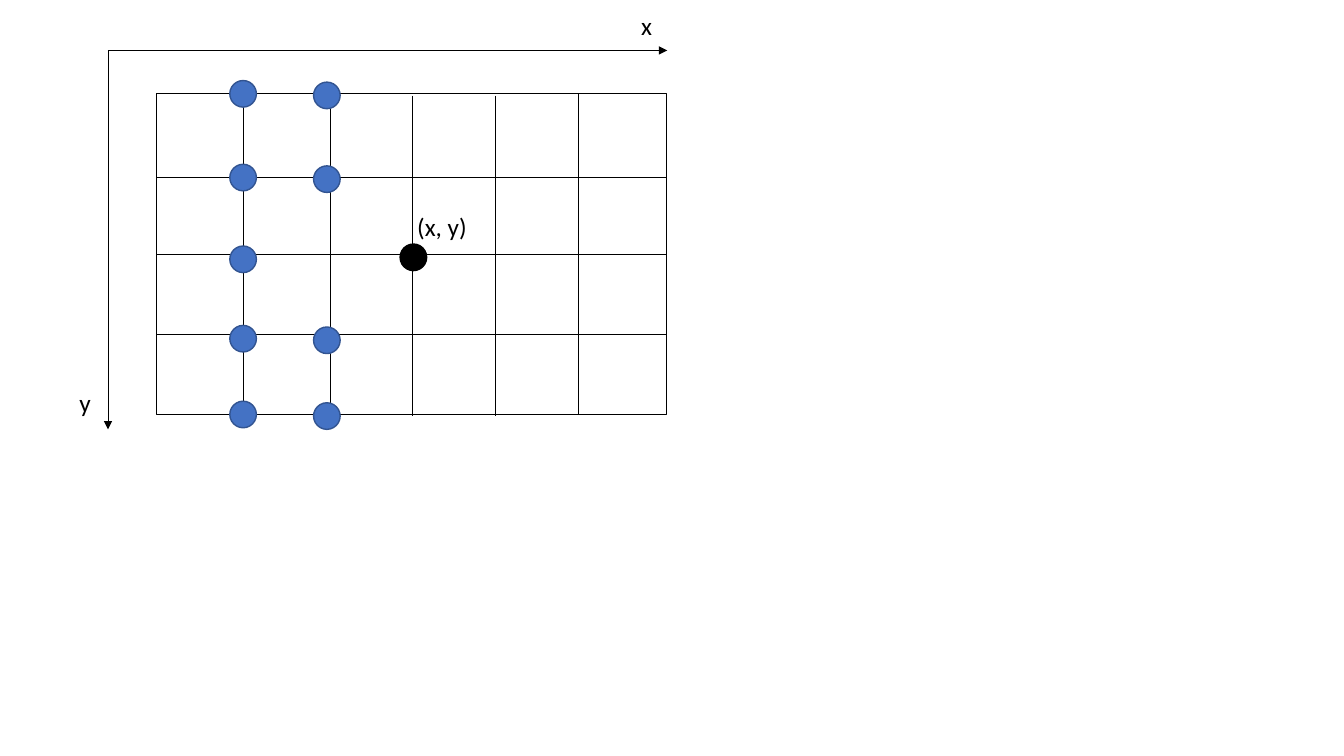
"""Build a slide with a pixel grid, its axes and the sampled points."""
from lxml import etree
from pptx import Presentation
from pptx.dml.color import RGBColor
from pptx.enum import shapes, text
from pptx.oxml import ns
from pptx.util import Cm, Inches, Pt

HUES = {"black": "000000", "white": "FFFFFF", "blue": "4472C4", "navy": "325491"}
DOT = 0.67
LEFT, TOP, WIDTH, HIGH = 3.94, 2.36, 12.85, 8.08
ROWS = [4.47, 8.43]
COLS = [(6.12, 2.41), (8.31, 2.41), (10.39, 2.41), (12.47, 2.41), (14.58, TOP)]
DOTS = [2.03, 4.14, 6.2, 8.2, 10.11]
LABELS = [("(x, y)", 10.26, 5.21, 1.93), ("y", 1.75, 9.63, 0.91), ("x", 15.9, 0.13, 0.91)]


def color(name):
    return RGBColor.from_string(HUES[name])


def add_form(tree, kind, x, y, width, high, fill, edge):
    form = tree.add_shape(kind, Cm(x), Cm(y), Cm(width), Cm(high))
    form.shadow.inherit = False
    form.fill.solid()
    form.fill.fore_color.rgb = color(fill)
    form.line.color.rgb = color(edge)
    form.line.width = Pt(1)
    return form


def add_dot(tree, x, y, fill="blue", edge="navy"):
    add_form(tree, shapes.MSO_SHAPE.OVAL, x, y, DOT, DOT, fill, edge)


def add_line(tree, x1, y1, x2, y2, arrow=False):
    line = tree.add_connector(shapes.MSO_CONNECTOR.STRAIGHT, Cm(x1), Cm(y1), Cm(x2), Cm(y2))
    line.line.color.rgb = color("black")
    line.line.width = Pt(0.5)
    if arrow:
        etree.SubElement(line.line._get_or_add_ln(), ns.qn("a:tailEnd"), type="triangle")
    etree.SubElement(line._element.spPr, ns.qn("a:effectLst"))
    return line


def add_label(tree, words, x, y, width):
    frame = tree.add_textbox(Cm(x), Cm(y), Cm(width), Cm(1.03)).text_frame
    frame.word_wrap = True
    frame.auto_size = text.MSO_AUTO_SIZE.SHAPE_TO_FIT_TEXT
    line = frame.paragraphs[0]
    line.text = words
    line.font.name = "Calibri"
    line.font.size = Pt(18)
    line.font.color.rgb = color("black")


def add_grid(tree):
    right, mid = LEFT + WIDTH, TOP + HIGH / 2
    grid = add_form(tree, shapes.MSO_SHAPE.RECTANGLE, LEFT, TOP, WIDTH, HIGH, "white", "black")
    axis = add_line(tree, LEFT, mid, right, mid)
    axis.begin_connect(grid, 1)
    axis.end_connect(grid, 3)
    for y in ROWS:
        add_line(tree, LEFT, y, right, y)
    for x, top in COLS:
        add_line(tree, x, top, x, top + HIGH)


def main():
    deck = Presentation()
    deck.slide_width, deck.slide_height = Inches(13.33), Inches(7.5)
    tree = deck.slides.add_slide(deck.slide_layouts[6]).shapes
    add_grid(tree)
    group = tree.add_group_shape().shapes
    for y in DOTS:
        add_dot(group, 5.79, y)
    for y in DOTS[:2] + DOTS[3:]:
        add_dot(tree, 7.9, y + 0.04)
    add_line(tree, 2.72, 1.27, 2.72, 10.82, arrow=True)
    add_line(tree, 2.72, 1.27, 16.81, 1.27, arrow=True)
    add_dot(tree, 10.08, 6.15, "black", "black")
    for label in LABELS:
        add_label(tree, *label)
    deck.save("out.pptx")


if __name__ == "__main__":
    main()
